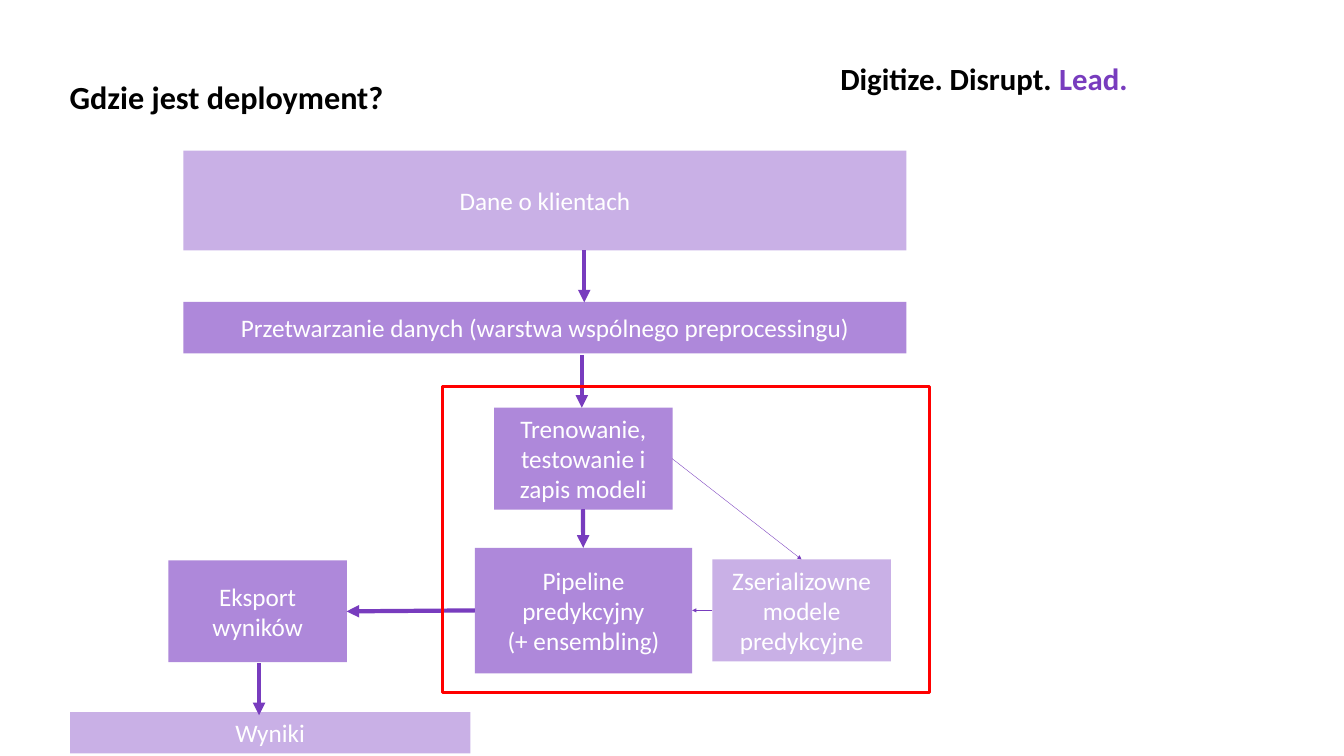
"""Build the slide that shows where deployment sits in the prediction flow."""
from lxml import etree
from pptx import Presentation
from pptx.dml.color import RGBColor
from pptx.enum.shapes import MSO_CONNECTOR, MSO_SHAPE
from pptx.enum.text import MSO_ANCHOR, PP_ALIGN
from pptx.oxml.ns import qn
from pptx.util import Pt

RECT = MSO_SHAPE.RECTANGLE
LINE = MSO_CONNECTOR.STRAIGHT
MIDDLE = MSO_ANCHOR.MIDDLE
CENTER = PP_ALIGN.CENTER
FONT = "Calibri"
COLORS = {
    "black": "000000",
    "white": "FFFFFF",
    "data": "C9B0E6",
    "step": "AE88DA",
    "accent": "783CBE",
    "frame": "FF0000",
}
BOXES = [
    ("data", (262, 215.3, 1032.5, 142.5), ["Dane o klientach"]),
    ("step", (262, 431.3, 1032.5, 73.5),
     ["Przetwarzanie danych (warstwa wspólnego preprocessingu)"]),
    ("step", (705.6, 582.5, 255, 145.5),
     ["Trenowanie, testowanie i zapis modeli"]),
    ("step", (678.2, 782.6, 310.3, 179.3),
     ["Pipeline predykcyjny", "(+ ensembling)"]),
    ("step", (240.5, 800.6, 255, 145.5), ["Eksport wyników"]),
    ("data", (100, 1017.4, 571.7, 59), ["Wyniki"]),
    ("data", (1017.4, 799.2, 255, 145.5),
     ["Zserializowne modele predykcyjne"]),
]
ARROWS = [
    ((834.5, 357.8), (834.5, 432), 6),
    ((831, 507.6), (831, 582.5), 6),
    ((832.5, 727.5), (833, 782.6), 6),
    ((678.2, 872), (495, 873.4), 6),
    ((370, 947.5), (370, 1021.7), 6),
    ((960, 655.2), (1144.8, 799.2), 0.5),
    ((1017.4, 872), (988.5, 872), 0.5),
]


def paint(name):
    """Return the named colour."""
    return RGBColor.from_string(COLORS[name])


def points(values):
    """Turn numbers into lengths in points."""
    return [Pt(value) for value in values]


def add_run(para, text, size, color, bold=False):
    """Add one styled run to a paragraph."""
    run = para.add_run()
    run.text = text
    font = run.font
    font.name, font.size, font.bold = FONT, Pt(size), bold
    font.color.rgb = paint(color)


def add_rect(slide, place):
    """Add a rectangle without a shadow."""
    shape = slide.shapes.add_shape(RECT, *points(place))
    shape.shadow.inherit = False
    return shape


def add_box(slide, color, place, lines):
    """Add a filled box with centred lines of text."""
    shape = add_rect(slide, place)
    shape.fill.solid()
    shape.fill.fore_color.rgb = paint(color)
    shape.line.fill.background()
    frame = shape.text_frame
    frame.word_wrap = True
    frame.vertical_anchor = MIDDLE
    for index, text in enumerate(lines):
        para = frame.add_paragraph() if index else frame.paragraphs[0]
        para.alignment = CENTER
        add_run(para, text, 36, "white")


def add_frame(slide, place):
    """Add an unfilled outline around the deployment part."""
    shape = add_rect(slide, place)
    shape.fill.background()
    shape.line.color.rgb = paint("frame")
    shape.line.width = Pt(4.5)


def add_arrow(slide, start, end, width):
    """Add a straight arrow that points at its end."""
    arrow = slide.shapes.add_connector(LINE, *points(start + end))
    arrow.line.color.rgb = paint("accent")
    arrow.line.width = Pt(width)
    tip = etree.SubElement(arrow.line._get_or_add_ln(), qn("a:tailEnd"))
    tip.set("type", "triangle")
    etree.SubElement(arrow._element.spPr, qn("a:effectLst"))


def add_label(slide, place, size, runs):
    """Add a text box with one bold paragraph and return its frame."""
    frame = slide.shapes.add_textbox(*points(place)).text_frame
    frame.word_wrap = True
    for text, color in runs:
        add_run(frame.paragraphs[0], text, size, color, True)
    return frame


def add_title(slide):
    """Add the slide title with no margins and fixed line spacing."""
    frame = add_label(slide, (99.4, 90.7, 1014.5, 72), 46,
                      [("Gdzie jest deployment?", "black")])
    frame.margin_left = frame.margin_right = 0
    frame.margin_top = frame.margin_bottom = 0
    frame.paragraphs[0].line_spacing = Pt(75)


def main():
    """Build and save the slide."""
    deck = Presentation()
    deck.slide_width, deck.slide_height = points((1919.52, 1080))
    slide = deck.slides.add_slide(deck.slide_layouts[6])
    add_label(slide, (1193, 81.4, 494, 60.5), 44,
              [("Digitize. Disrupt. ", "black"), ("Lead.", "accent")])
    for box in BOXES:
        add_box(slide, *box)
    for arrow in ARROWS:
        add_arrow(slide, *arrow)
    add_title(slide)
    add_frame(slide, (632.2, 552.2, 695.5, 437))
    deck.save("out.pptx")


if __name__ == "__main__":
    main()
